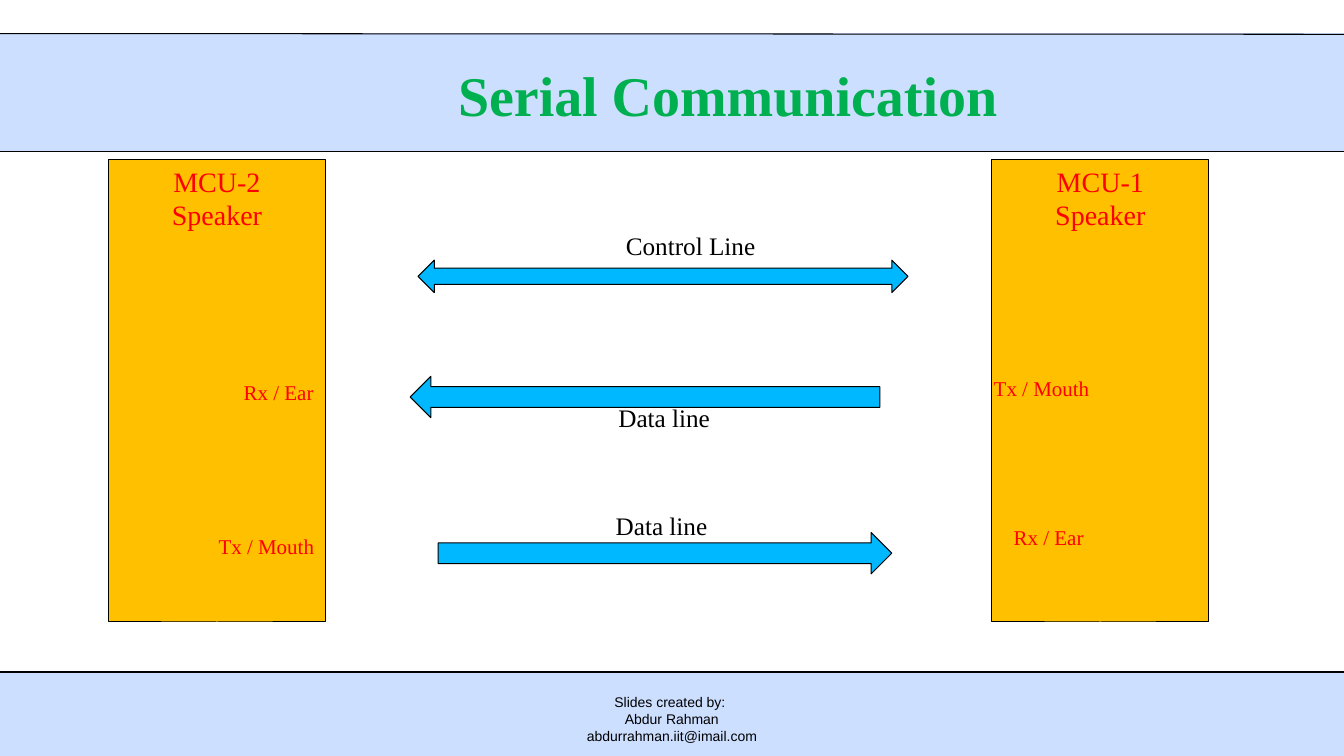
from pptx import Presentation
from pptx.dml.color import RGBColor
from pptx.enum.shapes import MSO_CONNECTOR, MSO_SHAPE
from pptx.enum.text import MSO_ANCHOR, PP_ALIGN
from pptx.oxml.ns import qn
from pptx.util import Pt
from lxml.etree import SubElement

BLACK = RGBColor(0x00, 0x00, 0x00)
PALE = RGBColor(0xCD, 0xDF, 0xFF)
GREEN = RGBColor(0x00, 0xB0, 0x50)
GOLD = RGBColor(0xFF, 0xC0, 0x00)
RED = RGBColor(0xFF, 0x00, 0x00)
BLUE = RGBColor(0x00, 0xB8, 0xFF)
SERIF = "Times New Roman"
WIDE = 960


class Sketch:
    """Draws the parts of one slide in a shared style."""

    def __init__(self, slide):
        self.shapes = slide.shapes
        self.edge = Pt(0.75)
        self.styles = {
            "title": {"size": Pt(40), "name": SERIF, "bold": True, "color": GREEN},
            "head": {"size": Pt(20), "name": SERIF, "color": RED},
            "pin": {"size": Pt(15), "name": SERIF, "color": RED},
            "wire": {"size": Pt(18), "name": SERIF, "color": BLACK},
            "foot": {"size": Pt(10), "name": "Arial", "color": BLACK},
        }

    def fill_in(self, frame, lines, style, align=PP_ALIGN.CENTER):
        for i, line in enumerate(lines):
            para = frame.paragraphs[0] if i == 0 else frame.add_paragraph()
            para.text = line
            para.alignment = align
            for key, value in self.styles[style].items():
                if key == "color":
                    para.font.color.rgb = value
                else:
                    setattr(para.font, key, value)

    def shape(self, kind, box, fill, line=BLACK, turn=0):
        item = self.shapes.add_shape(kind, *map(Pt, box))
        item.shadow.inherit = False
        item.fill.solid()
        item.fill.fore_color.rgb = fill
        item.line.color.rgb = line
        item.line.width = self.edge
        item.rotation = turn
        return item

    def rule(self, start, end):
        item = self.shapes.add_connector(
            MSO_CONNECTOR.STRAIGHT, Pt(0), Pt(start), Pt(WIDE), Pt(end))
        item.line.color.rgb = BLACK
        item.line.width = self.edge
        SubElement(item._element.spPr, qn("a:effectLst"))

    def block(self, box, lines):
        frame = self.shape(MSO_SHAPE.RECTANGLE, box, GOLD).text_frame
        frame.vertical_anchor = MSO_ANCHOR.TOP
        self.fill_in(frame, lines, "head")

    def text(self, box, lines, style, anchor=MSO_ANCHOR.TOP):
        frame = self.shapes.add_textbox(*map(Pt, box)).text_frame
        frame.word_wrap = True
        frame.vertical_anchor = anchor
        self.fill_in(frame, lines, style)

    def label(self, box, line, style):
        frame = self.shapes.add_textbox(*map(Pt, box)).text_frame
        frame.word_wrap = False
        self.fill_in(frame, [line], style, PP_ALIGN.LEFT)


def main():
    deck = Presentation()
    deck.slide_width, deck.slide_height = Pt(WIDE), Pt(540)
    sketch = Sketch(deck.slides.add_slide(deck.slide_layouts[6]))

    for top, high in ((480, 60), (24, 84)):
        sketch.shape(MSO_SHAPE.RECTANGLE, (0, top, WIDE, high), PALE, PALE)
    for start, end in ((24, 24.5), (108, 108), (480, 480)):
        sketch.rule(start, end)

    sketch.text((328.3, 492, 303.1, 48),
                ["Slides created by: ", "Abdur Rahman", "abdurrahman.iit@imail.com"], "foot")
    sketch.text((253.4, 20.2, 532.8, 93.6), ["Serial Communication"], "title",
                MSO_ANCHOR.MIDDLE)

    for left, name in ((708.5, "MCU-1"), (77.5, "MCU-2")):
        sketch.block((left, 113.8, 155, 330.5), [name, "Speaker"])

    for kind, box, turn in (
        (MSO_SHAPE.LEFT_ARROW, (293, 268.8, 335.5, 29.5), 0),
        (MSO_SHAPE.LEFT_RIGHT_ARROW, (298.6, 185.8, 350, 23.2), 0),
        (MSO_SHAPE.LEFT_ARROW, (313, 380.4, 324, 29.5), 180),
    ):
        sketch.shape(kind, box, BLUE, turn=turn)

    for left, top, wide, line in (
        (702.7, 265, 82.8, "Tx / Mouth"),
        (167, 267.4, 64.8, "Rx / Ear"),
        (149, 377.8, 82.8, "Tx / Mouth"),
        (717, 371.4, 64.8, "Rx / Ear"),
    ):
        sketch.label((left, top, wide, 25.2), line, "pin")

    for left, top, wide, line in (
        (434.6, 283.9, 80.6, "Data line"),
        (440, 161, 108, "Control Line"),
        (432.7, 361, 80.6, "Data line"),
    ):
        sketch.label((left, top, wide, 28.8), line, "wire")

    deck.save("out.pptx")


if __name__ == "__main__":
    main()
